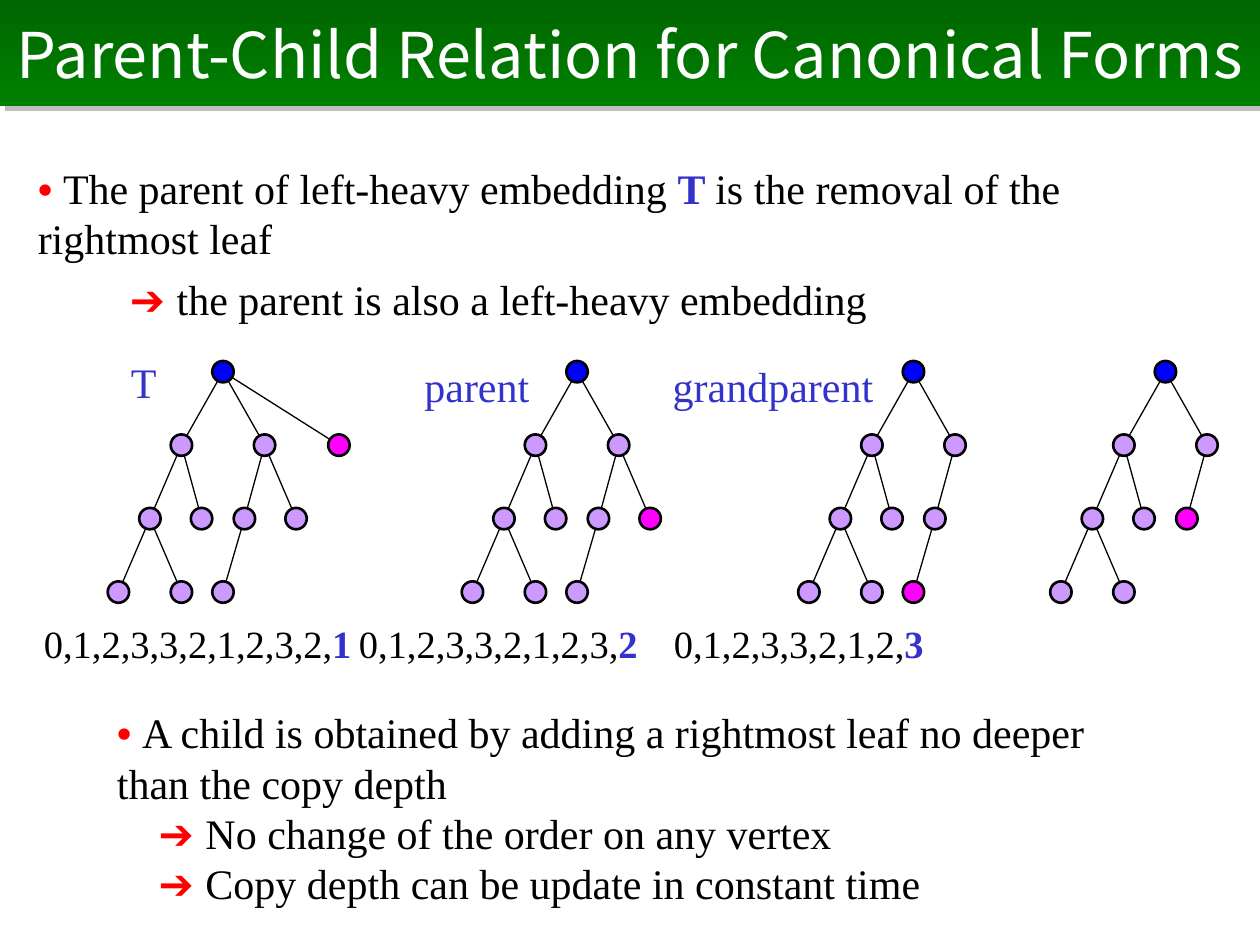
"""Slide on the parent-child relation between left-heavy embeddings of trees."""
from typing import NamedTuple

import pptx
import pptx.dml.color
import pptx.enum.shapes
import pptx.enum.text
import pptx.oxml
import pptx.util
from pptx.util import Inches

SERIF = "Times New Roman"
BLACK, RED, BLUE = "000000", "FF0000", "3333CC"
ROOT, VERTEX, LEAF = "0000FF", "CC99FF", "FF00FF"
NS = 'xmlns:a="http://schemas.openxmlformats.org/drawingml/2006/main"'
ROOT_TOP, LEVEL_GAP, DIAMETER = 2.95, 0.583, 0.17


class Run(NamedTuple):
    text: str
    color: str = BLACK
    bold: bool = False
    font: str = SERIF


class Vertex(NamedTuple):
    dx: float
    depth: int


class Tree(NamedTuple):
    root_x: float
    size: int


class Label(NamedTuple):
    text: str
    left: float
    top: float
    width: float


VERTICES = [
    Vertex(0, 0), Vertex(-0.33, 1), Vertex(-0.58, 2), Vertex(-0.83, 3),
    Vertex(-0.33, 3), Vertex(-0.17, 2), Vertex(0.33, 1), Vertex(0.17, 2),
    Vertex(0, 3), Vertex(0.58, 2), Vertex(0.92, 1),
]
TREES = [Tree(1.77, 11), Tree(4.58, 10), Tree(7.25, 9), Tree(9.25, 8)]
LABELS = [
    Label("T", 0.94, 2.78, 0.4),
    Label("parent", 3.27, 2.81, 1.03),
    Label("grandparent", 5.24, 2.81, 1.79),
]
BULLET = Run("• ", RED, True)
ARROW = Run("➔ ", RED, True, "Arial")


def rgb(value: str) -> pptx.dml.color.RGBColor:
    return pptx.dml.color.RGBColor.from_string(value)


def place(sp, left: float, top: float, width: float, height: float) -> None:
    sp.left, sp.top = Inches(left), Inches(top)
    sp.width, sp.height = Inches(width), Inches(height)


def add_runs(p, runs: list[Run], size: float = 24, before: float = 0,
             indent: float = 0) -> None:
    p.alignment = pptx.enum.text.PP_ALIGN.LEFT
    p.space_before = pptx.util.Pt(before)
    pPr = p._p.get_or_add_pPr()
    pPr.set("marL", str(Inches(indent)))
    pPr.set("indent", "0")
    for run in runs:
        r = p.add_run()
        r.text = run.text
        r.font.size = pptx.util.Pt(size)
        r.font.name = run.font
        r.font.bold = run.bold
        r.font.color.rgb = rgb(run.color)


def add_text(s, left: float, top: float, width: float, height: float,
             wrap: bool = True):
    tf = s.shapes.add_textbox(*map(Inches, (left, top, width, height))).text_frame
    tf.word_wrap = wrap
    return tf


def add_title(s) -> None:
    sp = s.shapes.title
    place(sp, 0, 0, 10, 0.84)
    sp.fill.gradient()
    sp.fill.gradient_angle = 270
    for stop, color, position in zip(sp.fill.gradient_stops, ("006600", "008000"), (0, 1)):
        stop.color.rgb = rgb(color)
        stop.position = position
    sp.line.fill.background()
    sp.shadow.inherit = False
    sp._element.spPr.find(pptx.oxml.ns.qn("a:effectLst")).append(pptx.oxml.parse_xml(
        f'<a:outerShdw {NS} dist="53340" dir="2700000" algn="ctr" rotWithShape="0">'
        '<a:srgbClr val="808080"><a:alpha val="50000"/></a:srgbClr></a:outerShdw>'))
    tf = sp.text_frame
    tf.auto_size = pptx.enum.text.MSO_AUTO_SIZE.NONE
    tf.vertical_anchor = pptx.enum.text.MSO_ANCHOR.MIDDLE
    p = tf.paragraphs[0]
    add_runs(p, [Run("Parent-Child Relation for Canonical Forms", "FFFFFF",
                     font="Noto Sans CJK JP")], 36)
    p.alignment = pptx.enum.text.PP_ALIGN.CENTER


def add_body(s) -> None:
    sp = s.placeholders[1]
    place(sp, 0.2, 1.24, 9.29, 6.06)
    tf = sp.text_frame
    tf.auto_size = pptx.enum.text.MSO_AUTO_SIZE.NONE
    tf.vertical_anchor = pptx.enum.text.MSO_ANCHOR.TOP
    add_runs(tf.paragraphs[0], [
        BULLET, Run("The parent of left-heavy embedding "), Run("T ", BLUE, True),
        Run("is the removal of the rightmost leaf")])
    add_runs(tf.add_paragraph(), [ARROW, Run("the parent is also a left-heavy embedding")],
             before=6, indent=0.73)


def add_child_rule(s) -> None:
    tf = add_text(s, 0.83, 5.56, 8.42, 1.7)
    add_runs(tf.paragraphs[0], [BULLET, Run(
        "A child is obtained by adding a rightmost leaf no deeper than the copy depth")])
    for text in ("No change of the order on any vertex",
                 "Copy depth can be update in constant time"):
        add_runs(tf.add_paragraph(), [ARROW, Run(text)], indent=0.33)


def add_depth_sequences(s) -> None:
    p = add_text(s, 0.25, 4.87, 9.58, 0.47).paragraphs[0]
    stops = "".join(f'<a:tab pos="{Inches(x)}" algn="l"/>' for x in (3.05, 5.64))
    p._p.get_or_add_pPr().append(pptx.oxml.parse_xml(f"<a:tabLst {NS}>{stops}</a:tabLst>"))
    runs = []
    for i, tree in enumerate(TREES[:3]):
        *head, last = [str(v.depth) for v in VERTICES[:tree.size]]
        runs += [Run("\t" * (i > 0) + ",".join(head) + ","), Run(last, BLUE, True)]
    add_runs(p, runs, 22)


def add_edge(s, start: tuple[float, float], end: tuple[float, float]) -> None:
    line = s.shapes.add_connector(pptx.enum.shapes.MSO_CONNECTOR.STRAIGHT,
                                  *map(Inches, start + end))
    line.line.color.rgb = rgb(BLACK)
    line.line.width = pptx.util.Pt(0.75)
    line._element.spPr.append(pptx.oxml.parse_xml(f"<a:effectLst {NS}/>"))


def add_vertex(s, x: float, y: float, color: str) -> None:
    sp = s.shapes.add_shape(
        pptx.enum.shapes.MSO_SHAPE.OVAL, Inches(x - DIAMETER / 2),
        Inches(y - DIAMETER / 2), Inches(DIAMETER), Inches(DIAMETER))
    sp.shadow.inherit = False
    sp.fill.solid()
    sp.fill.fore_color.rgb = rgb(color)
    sp.line.color.rgb = rgb(BLACK)
    sp.line.width = pptx.util.Pt(1.5)


def add_tree(s, tree: Tree) -> None:
    vertices = VERTICES[:tree.size]
    points = [(tree.root_x + v.dx, ROOT_TOP + v.depth * LEVEL_GAP) for v in vertices]
    branch = {}
    for v, point in zip(vertices, points):
        branch[v.depth] = point
        if v.depth:
            add_edge(s, branch[v.depth - 1], point)
    colors = [ROOT] + [VERTEX] * (tree.size - 2) + [LEAF]
    for (x, y), color in zip(points, colors):
        add_vertex(s, x, y, color)


def main() -> None:
    prs = pptx.Presentation()
    prs.slide_width, prs.slide_height = Inches(10), Inches(7.5)
    s = prs.slides.add_slide(prs.slide_layouts[0])
    add_title(s)
    add_body(s)
    add_child_rule(s)
    add_depth_sequences(s)
    for tree in TREES:
        add_tree(s, tree)
    for label in LABELS:
        tf = add_text(s, label.left, label.top, label.width, 0.5, wrap=False)
        add_runs(tf.paragraphs[0], [Run(label.text, BLUE)])
    prs.save("out.pptx")


if __name__ == "__main__":
    main()
